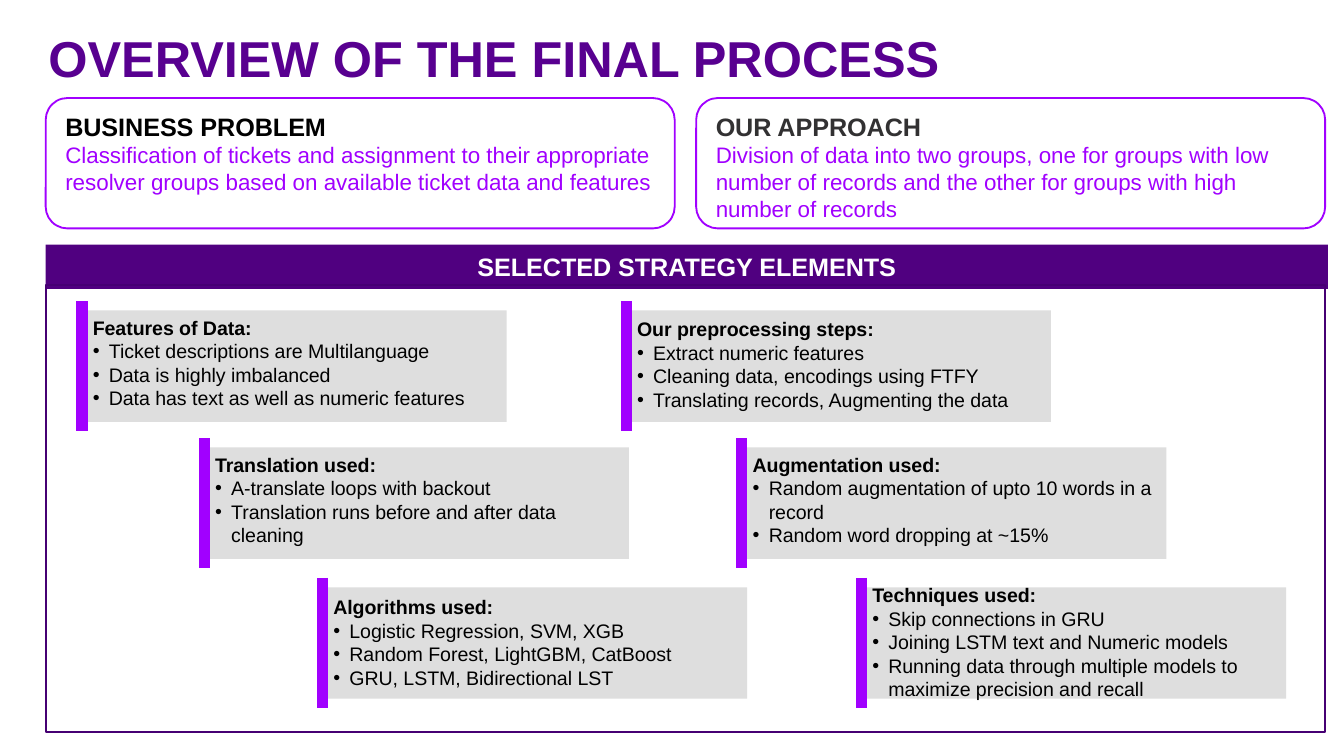
from lxml import etree
from pptx import Presentation
from pptx.dml.color import RGBColor
from pptx.enum.shapes import MSO_CONNECTOR, MSO_SHAPE
from pptx.enum.text import MSO_ANCHOR, PP_ALIGN
from pptx.oxml.ns import qn
from pptx.util import Inches, Pt

RECTANGLE, ROUNDED = MSO_SHAPE.RECTANGLE, MSO_SHAPE.ROUNDED_RECTANGLE
STRAIGHT = MSO_CONNECTOR.STRAIGHT
LEFT, CENTER = PP_ALIGN.LEFT, PP_ALIGN.CENTER
TOP, MIDDLE, BOTTOM = MSO_ANCHOR.TOP, MSO_ANCHOR.MIDDLE, MSO_ANCHOR.BOTTOM
FONT = "Arial"
COLORS = {
    "title": "580090", "accent": "A100FF", "bar": "500080", "frame": "460073",
    "card": "DEDEDE", "black": "000000", "charcoal": "323132", "white": "FFFFFF",
}

# Content
TITLE = "OVERVIEW OF THE FINAL PROCESS"
BANNER = "SELECTED STRATEGY ELEMENTS"
# left, heading, heading colour, body
SUMMARIES = [
    (5.18, "OUR APPROACH", "charcoal",
     "Division of data into two groups, one for groups with low number of "
     "records and the other for groups with high number of records"),
    (0.34, "BUSINESS PROBLEM", "black",
     "Classification of tickets and assignment to their appropriate "
     "resolver groups based on available ticket data and features"),
]
# row, left, text offset from the card top, heading, bullets
CARDS = [
    (0, 0.61, 0.04, "Features of Data:",
     ["Ticket descriptions are Multilanguage", "Data is highly imbalanced",
      "Data has text as well as numeric features"]),
    (1, 1.52, 0.04, "Translation used:",
     ["A-translate loops with backout",
      "Translation runs before and after data cleaning"]),
    (0, 4.66, 0.05, "Our preprocessing steps:",
     ["Extract numeric features", "Cleaning data, encodings using FTFY",
      "Translating records, Augmenting the data"]),
    (1, 5.52, 0.04, "Augmentation used:",
     ["Random augmentation of upto 10 words in a record",
      "Random word dropping at ~15%"]),
    (2, 2.40, 0.06, "Algorithms used:",
     ["Logistic Regression, SVM, XGB", "Random Forest, LightGBM, CatBoost",
      "GRU, LSTM, Bidirectional LST"]),
    (2, 6.41, -0.03, "Techniques used:",
     ["Skip connections in GRU", "Joining LSTM text and Numeric models",
      "Running data through multiple models to maximize precision and recall"]),
]

# Layout
ROW_TOPS = [2.31, 3.33, 4.37]
CARD_WIDTH, CARD_HEIGHT = 3.16, 0.83
RAIL_OVERHANG = 0.07
TEXT_GAP = 0.08


def color(name):
    return RGBColor.from_string(COLORS[name])


def box(left, top, width, height):
    return [Inches(value) for value in (left, top, width, height)]


def set_frame(shape, anchor=TOP, insets=(0.1, 0.05, 0.1, 0.05)):
    frame = shape.text_frame
    frame.word_wrap = True
    frame.vertical_anchor = anchor
    (frame.margin_left, frame.margin_top,
     frame.margin_right, frame.margin_bottom) = box(*insets)
    return frame


def write(frame, text, size, ink, bold=False, align=LEFT, bullet=False, spacing=None):
    """Fill the empty first paragraph, or append a new one."""
    paragraph = frame.paragraphs[0]
    if paragraph.runs:
        paragraph = frame.add_paragraph()
    paragraph.alignment = align
    if spacing:
        paragraph.line_spacing = spacing
    if bullet:
        properties = paragraph._p.get_or_add_pPr()
        properties.set("marL", str(Inches(0.12)))
        properties.set("indent", str(-Inches(0.12)))
        etree.SubElement(properties, qn("a:buFont"), typeface=FONT)
        etree.SubElement(properties, qn("a:buChar"), char="•")
    run = paragraph.add_run()
    run.text = text
    run.font.name, run.font.size, run.font.bold = FONT, Pt(size), bold
    run.font.color.rgb = color(ink)


def add_block(slide, kind, area, fill=None, line=None):
    shape = slide.shapes.add_shape(kind, *box(*area))
    shape.shadow.inherit = False
    if fill:
        shape.fill.solid()
        shape.fill.fore_color.rgb = color(fill)
    else:
        shape.fill.background()
    if line:
        shape.line.color.rgb = color(line)
        shape.line.width = Pt(1)
    else:
        shape.line.fill.background()
    return shape


def add_rail(slide, left, top, bottom):
    rail = slide.shapes.add_connector(STRAIGHT, *box(left, top, left, bottom))
    rail.line.color.rgb = color("accent")
    rail.line.width = Pt(6)
    etree.SubElement(rail._element.spPr, qn("a:effectLst"))


def add_card(slide, row, left, offset, heading, bullets):
    top = ROW_TOPS[row]
    add_block(slide, RECTANGLE, (left, top, CARD_WIDTH, CARD_HEIGHT), fill="card")
    add_rail(slide, left, top - RAIL_OVERHANG, top + CARD_HEIGHT + RAIL_OVERHANG)
    area = (left + TEXT_GAP, top + offset, CARD_WIDTH - TEXT_GAP, 0.74)
    frame = set_frame(slide.shapes.add_textbox(*box(*area)), insets=(0, 0, 0, 0.04))
    write(frame, heading, 10.5, "black", bold=True)
    for item in bullets:
        write(frame, item, 10.5, "black", bullet=True)


def main():
    # Widescreen slide, 16:9
    presentation = Presentation()
    presentation.slide_width = Inches(10)
    presentation.slide_height = Inches(10 * 9 / 16)
    slide = presentation.slides.add_slide(presentation.slide_layouts[5])

    # Title
    title = slide.shapes.title
    title.left, title.top, title.width, title.height = box(0.36, 0.24, 7.9, 0.46)
    frame = set_frame(title, BOTTOM, (0, 0.05, 0.1, 0.05))
    write(frame, TITLE, 27, "title", bold=True, spacing=0.8)

    # Summary boxes
    for left, heading, ink, body in SUMMARIES:
        shape = add_block(slide, ROUNDED, (left, 0.73, 4.68, 0.97), line="accent")
        frame = set_frame(shape)
        write(frame, heading, 13.5, ink, bold=True)
        write(frame, body, 12, "accent")

    # Strategy panel
    banner = add_block(slide, RECTANGLE, (0.34, 1.82, 9.54, 0.33), fill="bar")
    write(set_frame(banner, MIDDLE), BANNER, 13.5, "white", bold=True, align=CENTER)
    add_block(slide, RECTANGLE, (0.34, 2.12, 9.52, 3.33), line="frame")
    for card in CARDS:
        add_card(slide, *card)

    presentation.save("out.pptx")


if __name__ == "__main__":
    main()
